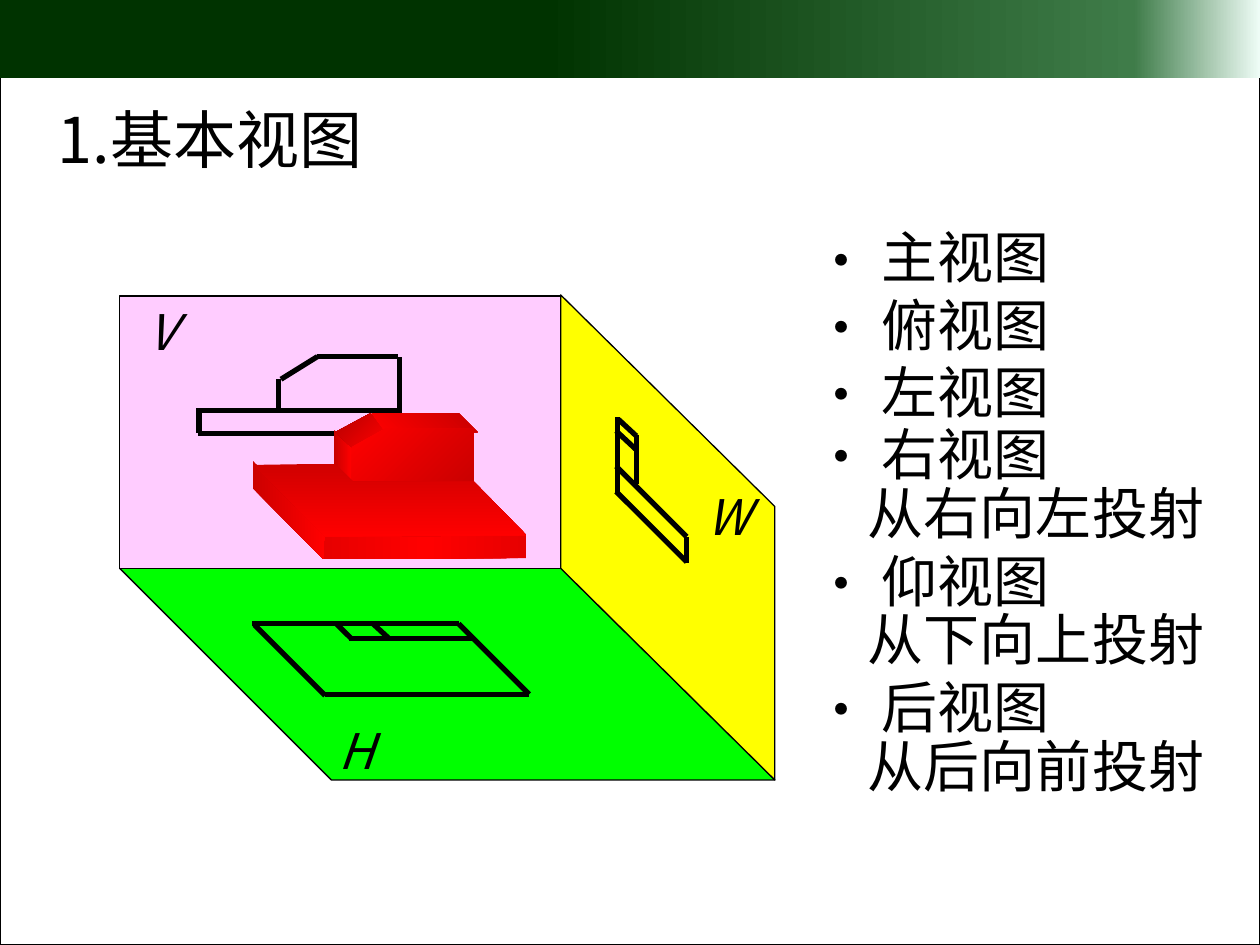
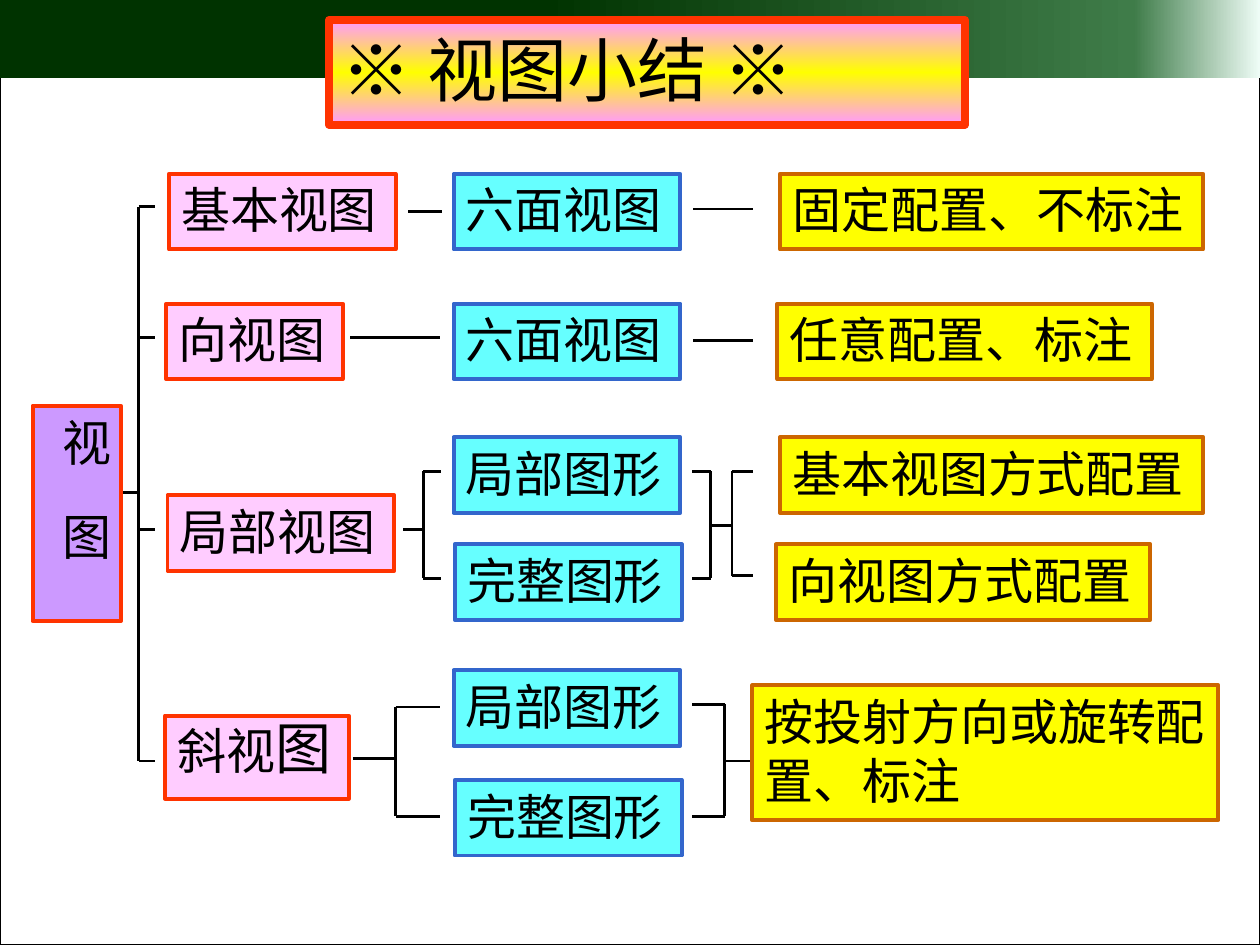
from dataclasses import dataclass
from typing import Optional, Union

from lxml.etree import SubElement
from pptx import Presentation
from pptx.dml.color import RGBColor
from pptx.enum.shapes import MSO_CONNECTOR as Connector, MSO_SHAPE as Preset
from pptx.enum.text import MSO_ANCHOR as Anchor
from pptx.oxml.ns import qn
from pptx.util import Inches, Pt

BLACK, WHITE = "000000", "FFFFFF"
PINK, CYAN, YELLOW, GREEN, VIOLET = "FFCCFF", "66FFFF", "FFFF00", "00FF00", "CC99FF"
RED, BLUE, BROWN = "FF3300", "3366CC", "CC6600"
CJK_FONT, SUMMARY_FONT = "Noto Sans CJK SC", "Karla"
LINE_HEIGHT = 1.2
BULLET_INDENT = 0.54


@dataclass(frozen=True)
class Gradient:
    stops: tuple
    angle: int = 0


Fill = Optional[Union[str, Gradient]]


@dataclass(frozen=True)
class Face:
    points: tuple
    fill: Fill
    line: Optional[str] = None


@dataclass(frozen=True)
class Style:
    fill: Fill
    line: str


@dataclass(frozen=True)
class Node:
    text: str
    left: float
    top: float
    width: float
    style: Style
    height: float = 0.6
    wrap: bool = False


@dataclass(frozen=True)
class Bracket:
    spine: float
    tip: float
    levels: tuple


def rgb(color: str) -> RGBColor:
    return RGBColor.from_string(color)


def fade(start: str, end: str, angle: int = 0) -> Gradient:
    return Gradient(((0, start), (100, end)), angle)


def paint(shape, fill: Fill, line: Optional[str] = None, width: float = 0.75) -> None:
    shape.shadow.inherit = False
    if isinstance(fill, Gradient):
        shape.fill.gradient()
        shape.fill.gradient_angle = -fill.angle % 360
        stop_list = next(shape._element.spPr.iter(qn("a:gsLst")))
        for old_stop in list(stop_list):
            stop_list.remove(old_stop)
        for position, color in fill.stops:
            stop = SubElement(stop_list, qn("a:gs"), pos=str(position * 1000))
            SubElement(stop, qn("a:srgbClr"), val=color)
    elif fill:
        shape.fill.solid()
        shape.fill.fore_color.rgb = rgb(fill)
    else:
        shape.fill.background()
    if line:
        shape.line.color.rgb = rgb(line)
        shape.line.width = Pt(width)
    else:
        shape.line.fill.background()


def add_rectangle(page, left: float, top: float, width: float, height: float,
                  fill: Fill, line: Optional[str] = None, line_width: float = 0.75):
    box = page.shapes.add_shape(Preset.RECTANGLE, Inches(left), Inches(top),
                                Inches(width), Inches(height))
    paint(box, fill, line, line_width)
    return box


def add_face(page, face: Face) -> None:
    points = [(Inches(x), Inches(y)) for x, y in face.points]
    builder = page.shapes.build_freeform(*points[0], scale=1.0)
    builder.add_line_segments(points[1:], close=True)
    paint(builder.convert_to_shape(), face.fill, face.line)


def add_line(page, x1: float, y1: float, x2: float, y2: float, width: float = 1.5) -> None:
    line = page.shapes.add_connector(Connector.STRAIGHT, Inches(x1), Inches(y1),
                                     Inches(x2), Inches(y2))
    line.line.color.rgb = rgb(BLACK)
    line.line.width = Pt(width)
    SubElement(line._element.spPr, qn("a:effectLst"))


def add_bracket(page, bracket: Bracket) -> None:
    add_line(page, bracket.spine, bracket.levels[0], bracket.spine, bracket.levels[-1])
    for level in bracket.levels:
        add_line(page, bracket.spine, level, bracket.tip, level)


def add_span(para, text: str, size: float, font: str, italic: bool = False):
    span = para.add_run()
    span.text = text
    span.font.size = Pt(size)
    span.font.name = font
    span.font.italic = italic
    span.font.color.rgb = rgb(BLACK)
    SubElement(span._r.get_or_add_rPr(), qn("a:ea"), typeface=font)
    return span


def write_text(box, text: str, size: float = 28, font: str = CJK_FONT, italic: bool = False,
               bullet: bool = False, wrap: bool = True, anchor=Anchor.TOP):
    frame = box.text_frame
    frame.word_wrap = wrap
    frame.vertical_anchor = anchor
    for index, line in enumerate(text.split("\n")):
        para = frame.add_paragraph() if index else frame.paragraphs[0]
        properties = para._p.get_or_add_pPr()
        properties.set("algn", "l")
        if bullet:
            properties.set("marL", str(Inches(BULLET_INDENT)))
            properties.set("indent", str(-Inches(BULLET_INDENT)))
            SubElement(properties, qn("a:buFont"), typeface=font)
            SubElement(properties, qn("a:buChar"), char="•")
        para.line_spacing = Pt(round(size * LINE_HEIGHT, 1))
        add_span(para, line, size, font, italic)
    return frame.paragraphs[0]


def add_text(page, text: str, left: float, top: float, width: float, height: float, **style):
    box = page.shapes.add_textbox(Inches(left), Inches(top), Inches(width), Inches(height))
    return write_text(box, text, **style)


def add_node(page, node: Node):
    box = add_rectangle(page, node.left, node.top, node.width, node.height,
                        node.style.fill, node.style.line, 2.25)
    return box, write_text(box, node.text, font=SUMMARY_FONT, wrap=node.wrap)


def add_page(deck):
    page = deck.slides.add_slide(deck.slide_layouts[6])
    page.background.fill.solid()
    page.background.fill.fore_color.rgb = rgb(WHITE)
    add_rectangle(page, 0, 0, 10, 7.5, None, BLACK)
    add_rectangle(page, 0, -0.02, 10, 0.64,
                  Gradient(((43, "003300"), (90, "3F7C49"), (100, "EEFCF6"))))
    return page


PLANES = (
    Face(((0.95, 4.51), (4.45, 4.51), (6.15, 6.19), (2.63, 6.19)), GREEN, BLACK),
    Face(((4.45, 4.51), (6.15, 6.19), (6.15, 4.02), (4.45, 2.34)), YELLOW, BLACK),
    Face(((0.95, 2.35), (4.45, 2.35), (4.45, 4.51), (0.95, 4.51)), PINK, BLACK),
)
PLANE_LABELS = (("V", 1.07, 2.34, 0.4), ("W", 5.51, 3.81, 0.57), ("H", 2.59, 5.67, 0.42))
TOP_VIEW = (
    (2, 4.95, 3.64, 4.95), (2.58, 5.51, 4.2, 5.51), (3.64, 4.95, 4.2, 5.51),
    (2.77, 5.07, 3.75, 5.07), (2.96, 4.95, 3.09, 5.07), (2.67, 4.95, 2.79, 5.07),
    (2.02, 4.96, 2.58, 5.52),
)
LEFT_VIEW = (
    (4.89, 3.7, 5.45, 4.26), (4.9, 3.31, 4.9, 3.92), (5.05, 3.45, 5.05, 3.84),
    (4.91, 3.33, 5.05, 3.46), (5.45, 4.47, 5.45, 4.26), (4.89, 3.42, 5.05, 3.57),
    (4.89, 3.9, 5.45, 4.46),
)
FRONT_VIEW = (
    (2.21, 3.26, 2.21, 3.01), (2.23, 3.01, 2.52, 2.83), (3.19, 3.44, 1.57, 3.44),
    (3.17, 3.44, 3.17, 2.83), (3.16, 2.83, 2.52, 2.83), (1.57, 3.26, 3.18, 3.26),
    (1.58, 3.24, 1.58, 3.44),
)
SOLID = (
    Face(((2.57, 4.25), (4.18, 4.24), (4.18, 4.43), (2.57, 4.44)),
         Gradient(((0, "E70000"), (50, "FF0000"), (100, "E70000")))),
    Face(((2.01, 3.66), (2.01, 3.88), (2.57, 4.44), (2.58, 4.25)), fade("CD0000", "FF0000")),
    Face(((2.65, 3.41), (2.65, 3.69), (2.79, 3.82), (2.79, 3.55)), fade("C70000", "FF0000")),
    Face(((2.66, 3.43), (2.94, 3.28), (3.07, 3.41), (2.79, 3.55)),
         fade("B60000", "FF0000", 45)),
    Face(((2.95, 3.28), (3.64, 3.28), (3.79, 3.43), (3.06, 3.43)),
         fade("FF0000", "C70000", 315)),
    Face(((2.79, 3.55), (2.79, 3.82), (3.76, 3.83), (3.76, 3.4), (3.06, 3.4)),
         fade("FF0000", "CA0000", 45)),
    Face(((2.66, 3.68), (2.8, 3.82), (3.76, 3.82), (4.18, 4.25), (2.58, 4.26), (2.01, 3.69)),
         fade("D00000", "FF0000", 90)),
)
VIEW_NAMES = (("主视图\n俯视图\n左视图", 1.72, 1.7), ("右视图", 3.28, 0.63),
              ("仰视图", 4.29, 0.63), ("后视图", 5.29, 0.63))
DIRECTIONS = (("从右向左投射", 3.75), ("从下向上投射", 4.75), ("从后向前投射", 5.76))

KIND, SHAPE, LAYOUT = Style(PINK, RED), Style(CYAN, BLUE), Style(YELLOW, BROWN)
ROOT = Node("视", 0.26, 3.22, 0.7, Style(VIOLET, RED), 1.71, True)
OBLIQUE = Node("斜视", 1.31, 5.68, 1.46, KIND, 0.66)
NODES = (
    Node("基本视图", 1.34, 1.38, 1.8, KIND),
    Node("向视图", 1.32, 2.41, 1.4, KIND),
    Node("局部视图", 1.33, 3.93, 1.8, KIND),
    Node("六面视图", 3.6, 1.38, 1.8, SHAPE),
    Node("六面视图", 3.6, 2.41, 1.8, SHAPE),
    Node("局部图形", 3.6, 3.47, 1.8, SHAPE),
    Node("完整图形", 3.61, 4.32, 1.8, SHAPE),
    Node("局部图形", 3.6, 5.32, 1.8, SHAPE),
    Node("完整图形", 3.61, 6.19, 1.8, SHAPE),
    Node("固定配置、不标注", 6.19, 1.38, 3.36, LAYOUT),
    Node("任意配置、标注", 6.17, 2.41, 2.97, LAYOUT),
    Node("基本视图方式配置", 6.19, 3.47, 3.36, LAYOUT),
    Node("向视图方式配置", 6.16, 4.32, 2.97, LAYOUT),
    Node("按投射方向或旋转配置、标注", 5.97, 5.44, 3.7, LAYOUT, 1.07, True),
)
BRACKETS = (
    Bracket(1.1, 1.23, (1.64, 2.68, 4.2, 6.04)),
    Bracket(3.36, 3.5, (3.74, 4.59)),
    Bracket(3.14, 3.49, (5.61, 6.48)),
    Bracket(5.64, 5.49, (3.74, 4.59)),
    Bracket(5.81, 5.98, (3.74, 4.57)),
    Bracket(5.75, 5.49, (5.59, 6.48)),
)
LINKS = (
    (0.94, 1.1, 3.91), (3.24, 3.51, 1.68), (5.5, 5.98, 1.66), (2.78, 3.49, 2.68),
    (5.5, 5.98, 2.7), (3.2, 3.36, 4.2), (2.8, 3.14, 6.02), (5.64, 5.81, 4.17),
    (5.75, 5.98, 6.04),
)


def build_basic_views(deck) -> None:
    page = add_page(deck)
    add_text(page, "1.基本视图", 0.36, 0.75, 3, 0.7, size=36)
    for names, top, height in VIEW_NAMES:
        add_text(page, names, 6.36, top, 2.81, height, size=32, bullet=True,
                 anchor=Anchor.MIDDLE)
    for direction, top in DIRECTIONS:
        add_text(page, direction, 6.79, top, 3.21, 0.63, size=32, anchor=Anchor.MIDDLE)
    for plane in PLANES:
        add_face(page, plane)
    for letter, left, top, width in PLANE_LABELS:
        add_text(page, letter, left, top, width, 0.57, italic=True, wrap=False,
                 anchor=Anchor.MIDDLE)
    for edge in TOP_VIEW + LEFT_VIEW + FRONT_VIEW:
        add_line(page, *edge, width=3)
    for face in SOLID:
        add_face(page, face)


def build_summary(deck) -> None:
    page = add_page(deck)
    title_fill = Gradient(((0, "FF99FF"), (50, YELLOW), (100, "FF99FF")), 90)
    title = add_rectangle(page, 2.61, 0.16, 5.05, 0.83, title_fill, RED, 4.5)
    write_text(title, "※ 视图小结 ※", size=40, font=SUMMARY_FONT)
    for bracket in BRACKETS:
        add_bracket(page, bracket)
    for start, end, level in LINKS:
        add_line(page, start, level, end, level)
    for node in NODES:
        add_node(page, node)
    _, oblique_para = add_node(page, OBLIQUE)
    add_span(oblique_para, "图", 32, SUMMARY_FONT)
    root, root_para = add_node(page, ROOT)
    root.text_frame._txBody.bodyPr.set("vert", "eaVert")
    root_para.runs[0]._r.get_or_add_rPr().set("spc", "2600")
    add_span(root_para, "图", 28, SUMMARY_FONT)


def main() -> None:
    deck = Presentation()
    deck.slide_width, deck.slide_height = Inches(10), Inches(7.5)
    build_basic_views(deck)
    build_summary(deck)
    deck.save("out.pptx")


if __name__ == "__main__":
    main()
